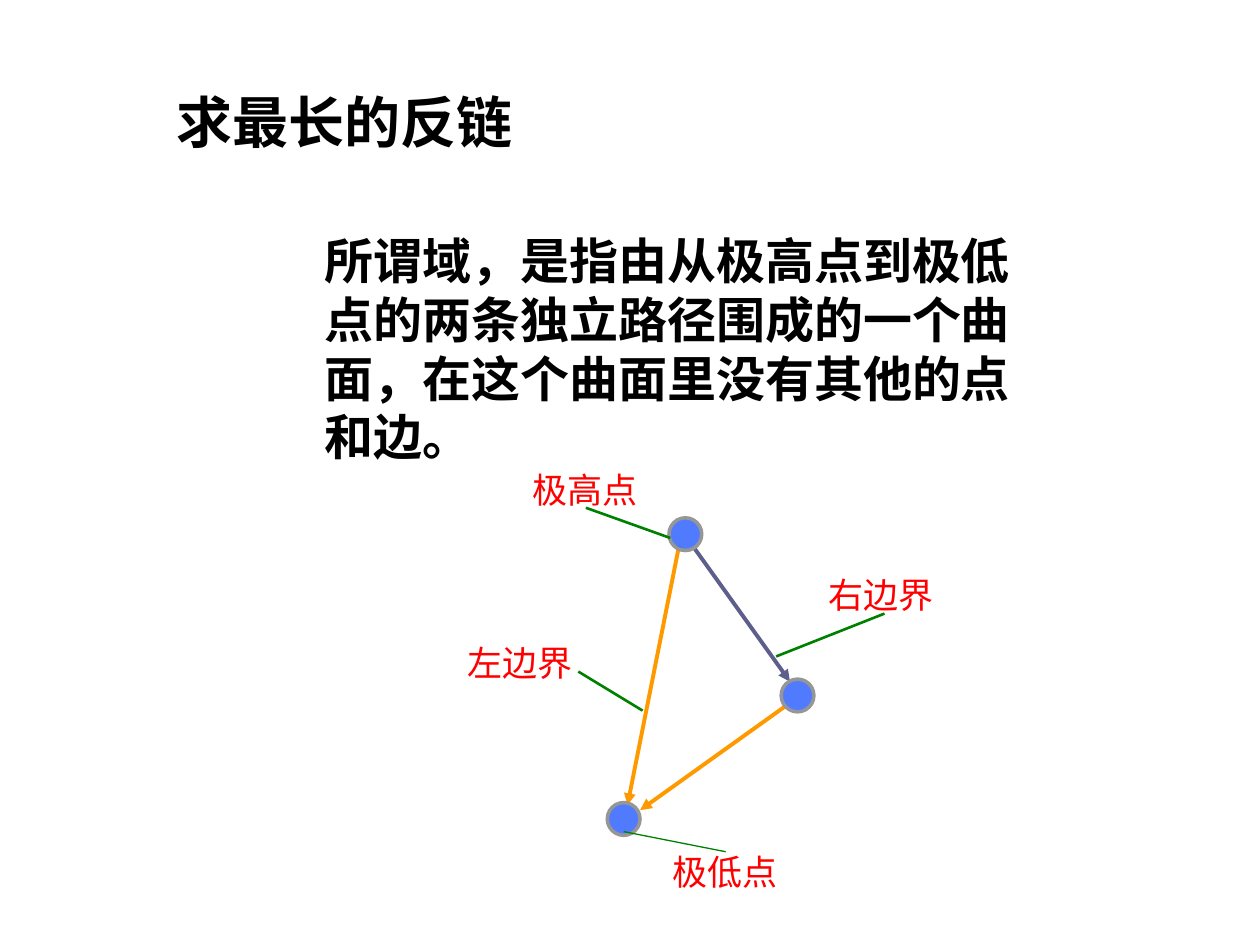
from dataclasses import dataclass

from lxml import etree
from pptx import Presentation
from pptx.dml.color import RGBColor
from pptx.enum.shapes import MSO_CONNECTOR, MSO_SHAPE
from pptx.enum.text import MSO_ANCHOR
from pptx.oxml.ns import qn
from pptx.util import Inches, Pt

STRAIGHT = MSO_CONNECTOR.STRAIGHT
OVAL = MSO_SHAPE.OVAL
TOP = MSO_ANCHOR.TOP
MIDDLE = MSO_ANCHOR.MIDDLE


@dataclass(frozen=True)
class Theme:
    font: str = "Times New Roman"
    ink: str = "000000"
    label: str = "FF0000"
    leader: str = "008000"
    left_edge: str = "FF9900"
    right_edge: str = "5E5E8C"
    node_fill: str = "3F6DFF"
    node_line: str = "969696"
    title_size: int = 32
    body_size: int = 28
    label_size: int = 20


THEME = Theme()
NODE_SIZE = 0.26


def add_text(page, text, place, size, color, bold=False, anchor=TOP):
    box = page.shapes.add_textbox(*map(Inches, place))
    frame = box.text_frame
    frame.word_wrap = True
    frame.vertical_anchor = anchor
    span = frame.paragraphs[0].add_run()
    span.text = text
    span.font.name = THEME.font
    span.font.size = Pt(size)
    span.font.bold = bold
    span.font.color.rgb = RGBColor.from_string(color)


def add_line(page, start, end, color, width, arrow=False):
    line = page.shapes.add_connector(STRAIGHT, *map(Inches, (*start, *end)))
    line.line.color.rgb = RGBColor.from_string(color)
    line.line.width = Pt(width)
    if arrow:
        etree.SubElement(line.line._get_or_add_ln(), qn("a:tailEnd"), type="triangle")
    etree.SubElement(line._element.spPr, qn("a:effectLst"))


def add_node(page, center):
    left, top = (value - NODE_SIZE / 2 for value in center)
    node = page.shapes.add_shape(OVAL, *map(Inches, (left, top, NODE_SIZE, NODE_SIZE)))
    node.shadow.inherit = False
    node.fill.solid()
    node.fill.fore_color.rgb = RGBColor.from_string(THEME.node_fill)
    color = node._element.spPr.find(qn("a:solidFill"))[0]
    etree.SubElement(color, qn("a:alpha"), val="90000")
    node.line.color.rgb = RGBColor.from_string(THEME.node_line)
    node.line.width = Pt(2)


def add_callout(page, text, place, start, end, width=1.5):
    add_text(page, text, place, THEME.label_size, THEME.label)
    add_line(page, start, end, THEME.leader, width)


def main():
    deck = Presentation()
    deck.slide_width, deck.slide_height = Inches(10), Inches(7.5)
    page = deck.slides.add_slide(deck.slide_layouts[6])

    # Title and definition
    add_text(page, "求最长的反链", (1.3, 0.6, 4.63, 0.72),
             THEME.title_size, THEME.ink, bold=True, anchor=MIDDLE)
    add_text(page, "所谓域，是指由从极高点到极低点的两条独立路径围成的一个曲面，"
                   "在这个曲面里没有其他的点和边。",
             (2.48, 1.78, 5.75, 1.97), THEME.body_size, THEME.ink, bold=True)

    # Directed edges of the region
    for start, end, color in (
        ((6.24, 5.6), (5.08, 6.43), THEME.left_edge),
        ((5.51, 4.35), (6.27, 5.41), THEME.right_edge),
        ((5.39, 4.33), (4.98, 6.39), THEME.left_edge),
    ):
        add_line(page, start, end, color, 2.25, arrow=True)

    # Vertices
    for center in ((6.33, 5.52), (4.95, 6.5), (5.44, 4.24)):
        add_node(page, center)

    # Labels with leader lines
    add_callout(page, "极高点", (4.13, 3.67, 1.12, 0.44), (4.65, 4.03), (5.32, 4.27))
    add_callout(page, "极低点", (5.24, 6.7, 1.18, 0.44), (5.76, 6.76), (4.95, 6.6), 0.75)
    add_callout(page, "左边界", (3.61, 5.04, 1.12, 0.44), (4.59, 5.33), (5.1, 5.64))
    add_callout(page, "右边界", (6.48, 4.5, 1.12, 0.44), (7.02, 4.87), (6.16, 5.21))

    deck.save("out.pptx")


if __name__ == "__main__":
    main()
